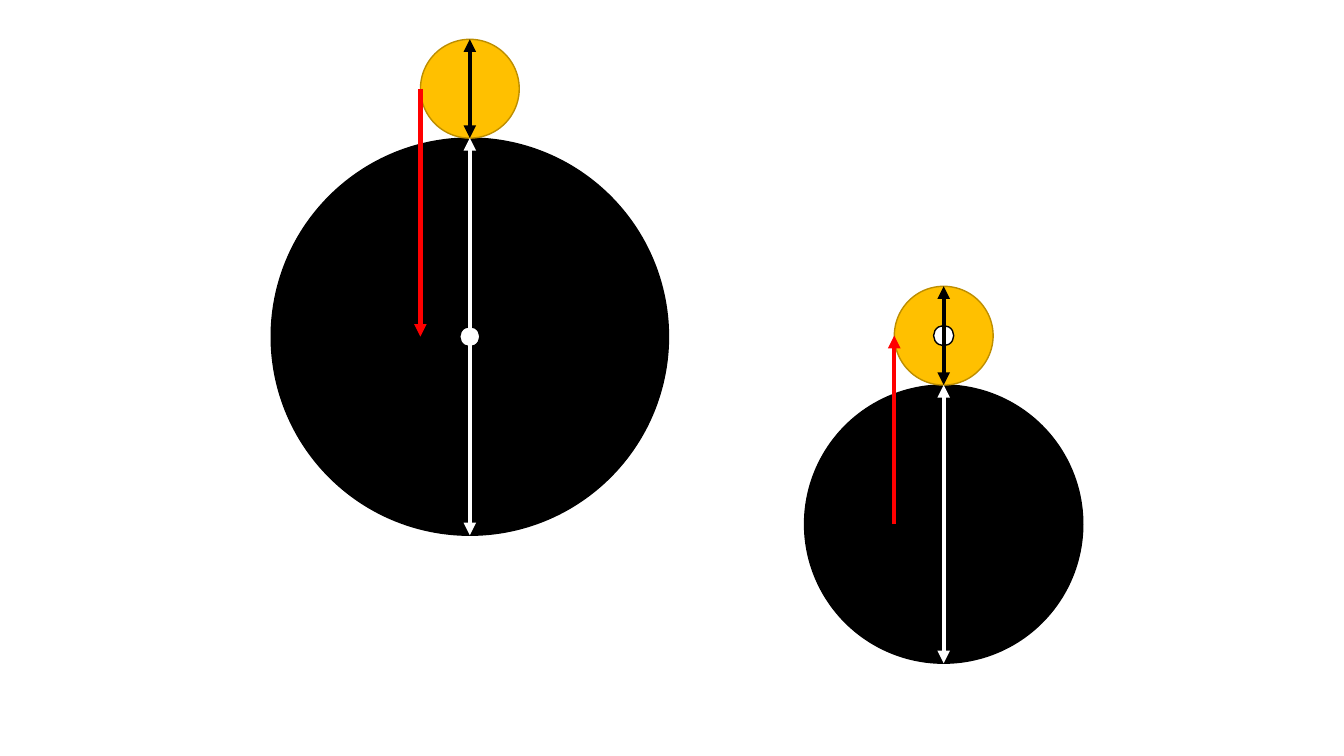
from pptx import Presentation
from pptx.dml.color import RGBColor
from pptx.enum.shapes import MSO_CONNECTOR, MSO_SHAPE
from pptx.oxml.ns import qn
from pptx.util import Inches, Pt
from lxml.etree import SubElement

COLORS = {
    "black": "000000",
    "white": "FFFFFF",
    "gold": "FFC000",
    "dark gold": "BD8E00",
    "red": "FF0000",
}
SMALL_DIAMETER = 0.98
HUB_DIAMETER = 0.2


def color(name):
    return RGBColor.from_string(COLORS[name])


def add_circle(slide, x, y, diameter, fill, outline):
    """Circle centred on x, y."""
    left, top = x - diameter / 2, y - diameter / 2
    circle = slide.shapes.add_shape(
        MSO_SHAPE.OVAL, Inches(left), Inches(top), Inches(diameter), Inches(diameter))
    circle.shadow.inherit = False
    circle.fill.solid()
    circle.fill.fore_color.rgb = color(fill)
    circle.line.color.rgb = color(outline)
    circle.line.width = Pt(1)


def add_vertical_arrow(slide, x, start, end, stroke, both_ends=False):
    arrow = slide.shapes.add_connector(
        MSO_CONNECTOR.STRAIGHT, Inches(x), Inches(start), Inches(x), Inches(end))
    arrow.line.color.rgb = color(stroke)
    arrow.line.width = Pt(3)
    line = arrow.line._get_or_add_ln()
    for tag in ["a:headEnd", "a:tailEnd"] if both_ends else ["a:tailEnd"]:
        SubElement(line, qn(tag), type="triangle")
    SubElement(arrow._element.spPr, qn("a:effectLst"))


def add_wheel_pair(slide, axis, contact, big_diameter, hub_on_big):
    """Small wheel resting on a big one; the red arrow points to the hub's level."""
    small_y = contact - SMALL_DIAMETER / 2
    big_y = contact + big_diameter / 2
    start, hub_y = (small_y, big_y) if hub_on_big else (big_y, small_y)

    # Wheels and hub
    add_circle(slide, axis, big_y, big_diameter, "black", "black")
    add_circle(slide, axis, small_y, SMALL_DIAMETER, "gold", "dark gold")
    add_circle(slide, axis, hub_y, HUB_DIAMETER, "white", "black")

    # Diameters
    add_vertical_arrow(slide, axis, contact - SMALL_DIAMETER, contact, "black", True)
    add_vertical_arrow(slide, axis, contact, contact + big_diameter, "white", True)

    # Distance between the centres
    add_vertical_arrow(slide, axis - SMALL_DIAMETER / 2, start, hub_y, "red")


def main():
    deck = Presentation()
    deck.slide_width, deck.slide_height = Inches(13.33), Inches(7.5)
    slide = deck.slides.add_slide(deck.slide_layouts[6])

    add_wheel_pair(slide, axis=4.66, contact=1.37, big_diameter=3.94, hub_on_big=True)
    add_wheel_pair(slide, axis=9.36, contact=3.82, big_diameter=2.76, hub_on_big=False)

    deck.save("out.pptx")


if __name__ == "__main__":
    main()
